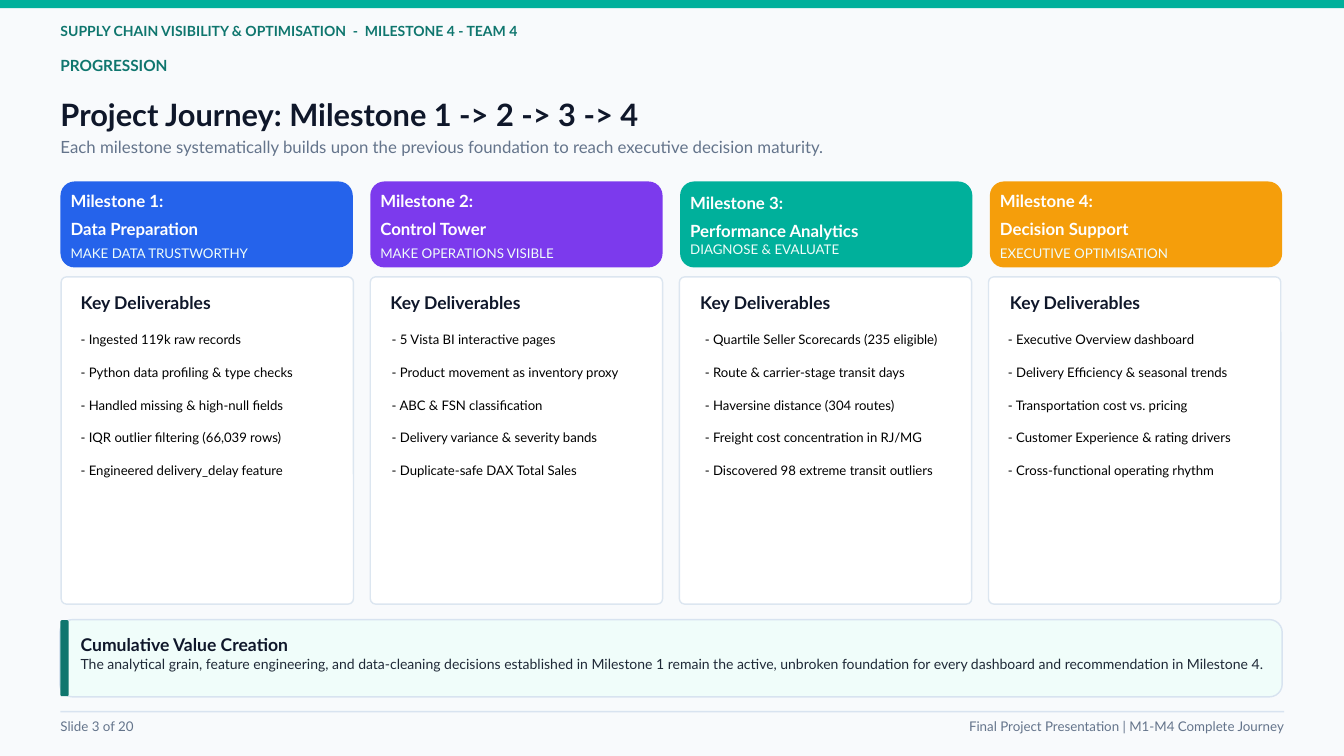
from pptx import Presentation
from pptx.dml.color import RGBColor
from pptx.enum.shapes import MSO_SHAPE
from pptx.enum.text import PP_ALIGN
from pptx.util import Emu, Pt

PX = 9144
FONT = "Lato"
INK, MUTED, GREEN, TEAL, BORDER = "0F172A", "64748B", "0F766E", "00B09B", "D8E3F0"
LEFT, HEADER_PITCH, CARD_PITCH, COLUMN_WIDTH = 90, 461, 460, 435

HEADINGS = [
    {"text": "SUPPLY CHAIN VISIBILITY & OPTIMISATION  -  MILESTONE 4 - TEAM 4",
     "box": (LEFT, 33, 1201, 45), "size": 15, "spacing": 18, "color": GREEN, "bold": True},
    {"text": "PROGRESSION",
     "box": (LEFT, 83, 1201, 38), "size": 16.5, "spacing": 19.8, "color": GREEN, "bold": True},
    {"text": "Project Journey: Milestone 1 -> 2 -> 3 -> 4",
     "box": (LEFT, 142, 1801, 53), "size": 33, "spacing": 39.6, "color": INK, "bold": True},
    {"text": "Each milestone systematically builds upon the previous foundation "
             "to reach executive decision maturity.",
     "box": (LEFT, 203, 1801, 29), "size": 18, "spacing": 21.6, "color": MUTED},
]

ROOMY = {"top": 272, "spacings": (30.3, 30.3, 23.9)}
COMPACT = {"top": 287, "spacings": (21.6, 30.3, 17.1)}

MILESTONES = [
    {"title": "Data Preparation", "aim": "MAKE DATA TRUSTWORTHY", "color": "2563EB",
     "layout": ROOMY, "list_left": 120,
     "deliverables": ["Ingested 119k raw records", "Python data profiling & type checks",
                      "Handled missing & high-null fields", "IQR outlier filtering (66,039 rows)",
                      "Engineered delivery_delay feature"]},
    {"title": "Control Tower", "aim": "MAKE OPERATIONS VISIBLE", "color": "7C3AED",
     "layout": ROOMY, "list_left": 583,
     "deliverables": ["5 Vista BI interactive pages", "Product movement as inventory proxy",
                      "ABC & FSN classification", "Delivery variance & severity bands",
                      "Duplicate-safe DAX Total Sales"]},
    {"title": "Performance Analytics", "aim": "DIAGNOSE & EVALUATE", "color": TEAL,
     "layout": COMPACT, "list_left": 1049,
     "deliverables": ["Quartile Seller Scorecards (235 eligible)", "Route & carrier-stage transit days",
                      "Haversine distance (304 routes)", "Freight cost concentration in RJ/MG",
                      "Discovered 98 extreme transit outliers"]},
    {"title": "Decision Support", "aim": "EXECUTIVE OPTIMISATION", "color": "F59E0B",
     "layout": ROOMY, "list_left": 1500,
     "deliverables": ["Executive Overview dashboard", "Delivery Efficiency & seasonal trends",
                      "Transportation cost vs. pricing", "Customer Experience & rating drivers",
                      "Cross-functional operating rhythm"]},
]

SUMMARY_TITLE = "Cumulative Value Creation"
SUMMARY = ("The analytical grain, feature engineering, and data-cleaning decisions established in "
           "Milestone 1 remain the active, unbroken foundation for every dashboard and "
           "recommendation in Milestone 4.")

FOOTERS = [
    ("Slide 3 of 20", LEFT, PP_ALIGN.LEFT),
    ("Final Project Presentation | M1-M4 Complete Journey", 1311, PP_ALIGN.RIGHT),
]


def rgb(value):
    return RGBColor.from_string(value)


def place(box):
    return [Emu(length * PX) for length in box]


def add_panel(slide, box, fill, line=None, radius=0):
    kind = MSO_SHAPE.ROUNDED_RECTANGLE if radius else MSO_SHAPE.RECTANGLE
    shape = slide.shapes.add_shape(kind, *place(box))
    shape.shadow.inherit = False
    if radius:
        shape.adjustments[0] = radius / min(box[2:])
    shape.fill.solid()
    shape.fill.fore_color.rgb = rgb(fill)
    if line:
        shape.line.color.rgb = rgb(line)
        shape.line.width = Pt(1.5)
    else:
        shape.line.fill.background()


def add_frame(slide, box):
    frame = slide.shapes.add_textbox(*place(box)).text_frame
    frame.word_wrap = True
    frame.margin_left = frame.margin_top = frame.margin_right = frame.margin_bottom = 0
    return frame


def write(frame, text, *, size, spacing, color, bold=False, align=PP_ALIGN.LEFT):
    paragraph = frame.paragraphs[0] if not frame.text else frame.add_paragraph()
    paragraph.alignment = align
    paragraph.line_spacing = Pt(spacing)
    run = paragraph.add_run()
    run.text = text
    run.font.name = FONT
    run.font.size = Pt(size)
    run.font.bold = bold
    run.font.color.rgb = rgb(color)


def add_milestone(slide, index, milestone):
    header_left = LEFT + index * HEADER_PITCH
    card_left = LEFT + 1 + index * CARD_PITCH
    add_panel(slide, (header_left, 270, COLUMN_WIDTH, 128), milestone["color"], radius=21)
    add_panel(slide, (card_left, 412, COLUMN_WIDTH, 487), "FFFFFF", "DCE6F0", radius=8)

    layout = milestone["layout"]
    first, second, third = layout["spacings"]
    header = add_frame(slide, (header_left + 15, layout["top"], 405, 114))
    write(header, f"Milestone {index + 1}:", size=18, spacing=first, color="FFFFFF", bold=True)
    write(header, milestone["title"], size=18, spacing=second, color="FFFFFF", bold=True)
    write(header, milestone["aim"], size=14.3, spacing=third, color="F0FDFA")

    heading = add_frame(slide, (header_left + 30, 434, 383, 31))
    write(heading, "Key Deliverables", size=18.8, spacing=22.5, color=INK, bold=True)
    items = add_frame(slide, (milestone["list_left"], 468, 376, 234))
    for deliverable in milestone["deliverables"]:
        write(items, f"- {deliverable}", size=14.1, spacing=35.1, color="000000")


def main():
    """Build the project journey slide."""
    presentation = Presentation()
    presentation.slide_width, presentation.slide_height = place((2000, 1125))
    slide = presentation.slides.add_slide(presentation.slide_layouts[6])
    slide.background.fill.solid()
    slide.background.fill.fore_color.rgb = rgb("F8FAFC")

    add_panel(slide, (0, 0, 2000, 12), TEAL)
    for heading in HEADINGS:
        style = {key: value for key, value in heading.items() if key not in ("text", "box")}
        write(add_frame(slide, heading["box"]), heading["text"], **style)

    for index, milestone in enumerate(MILESTONES):
        add_milestone(slide, index, milestone)

    add_panel(slide, (89, 922, 1819, 115), "F0FDFA", BORDER, radius=19)
    add_panel(slide, (LEFT, 923, 12, 113), GREEN, radius=2)
    summary = add_frame(slide, (120, 944, 1764, 71))
    write(summary, SUMMARY_TITLE, size=18.8, spacing=22.5, color=INK, bold=True)
    write(summary, SUMMARY, size=15, spacing=18, color="1F2937")

    add_panel(slide, (LEFT, 1058, 1821, 2), BORDER)
    for text, left, align in FOOTERS:
        footer = add_frame(slide, (left, 1069, 600, 38))
        write(footer, text, size=14.3, spacing=17.1, color=MUTED, align=align)

    presentation.save("out.pptx")


if __name__ == "__main__":
    main()
